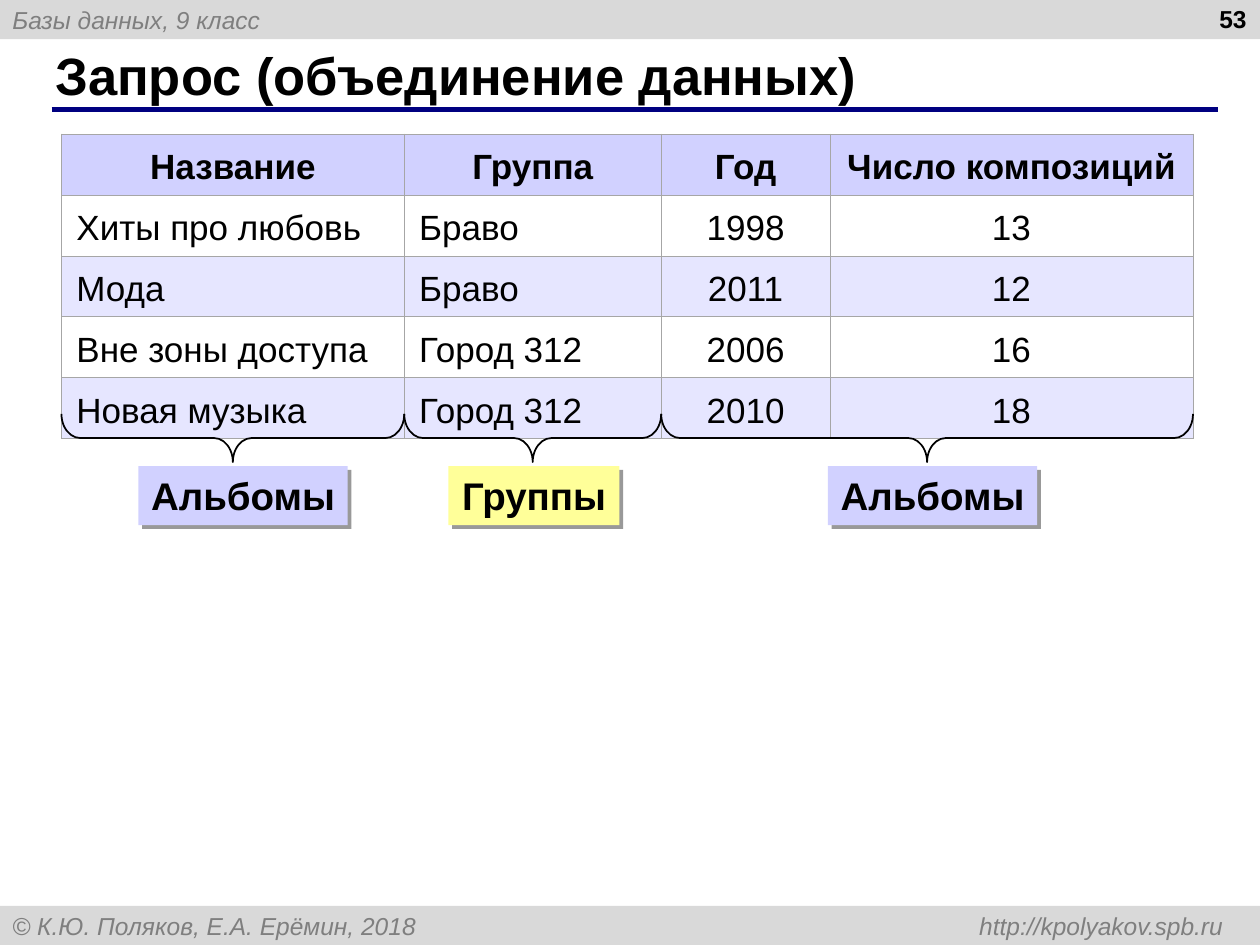
from lxml import etree
from pptx import Presentation
from pptx.dml.color import RGBColor
from pptx.enum.shapes import MSO_CONNECTOR, MSO_SHAPE
from pptx.enum.text import MSO_ANCHOR, MSO_AUTO_SIZE, PP_ALIGN
from pptx.oxml import parse_xml
from pptx.oxml.ns import nsdecls, qn
from pptx.util import Cm, Pt

BLACK = RGBColor(0x00, 0x00, 0x00)
WHITE = RGBColor(0xFF, 0xFF, 0xFF)
GRAY = RGBColor(0x7F, 0x7F, 0x7F)
BAR = RGBColor(0xD9, 0xD9, 0xD9)
NAVY = RGBColor(0x00, 0x00, 0x80)
LILAC = RGBColor(0xD1, 0xD1, 0xFF)
PALE_LILAC = RGBColor(0xE6, 0xE6, 0xFF)
YELLOW = RGBColor(0xFF, 0xFF, 0x99)


def write(frame, text, size, color=BLACK, bold=False, italic=False,
          align=PP_ALIGN.LEFT):
    paragraph = frame.paragraphs[0]
    paragraph.text = text
    paragraph.alignment = align
    font = paragraph.font
    font.name, font.size, font.bold, font.italic = "Arial", Pt(size), bold, italic
    font.color.rgb = color
    return paragraph


def add_box(kind, left, top, width, height, fill):
    box = slide.shapes.add_shape(kind, Cm(left), Cm(top), Cm(width), Cm(height))
    box.shadow.inherit = False
    box.line.fill.background()
    box.fill.solid()
    box.fill.fore_color.rgb = fill
    return box


prs = Presentation()
prs.slide_width, prs.slide_height = Cm(25.4), Cm(19.05)
slide = prs.slides.add_slide(prs.slide_layouts[5])

# Header and footer bars
course = "Базы данных, 9 класс"
credits = "© К.Ю. Поляков, Е.А. Ерёмин, 2018 \thttp://kpolyakov.spb.ru"
for top, text in ((0, course), (18.26, credits)):
    bar = add_box(MSO_SHAPE.RECTANGLE, 0, top, 25.4, 0.79, BAR)
    bar.text_frame.vertical_anchor = MSO_ANCHOR.MIDDLE
    if "\t" in text:
        p_pr = bar.text_frame.paragraphs[0]._p.get_or_add_pPr()
        tabs = etree.SubElement(p_pr, qn("a:tabLst"))
        etree.SubElement(tabs, qn("a:tab"), pos=str(Cm(24.41)), algn="r")
    write(bar.text_frame, text, 14, GRAY, italic=True)

# Title with its rule
title = slide.shapes.title
title.left, title.top, title.width, title.height = Cm(0.86), Cm(0.84), Cm(23.27), Cm(1.32)
title.text_frame.auto_size = MSO_AUTO_SIZE.NONE
title.text_frame.vertical_anchor = MSO_ANCHOR.MIDDLE
write(title.text_frame, "Запрос (объединение данных)", 30, bold=True)

rule = slide.shapes.add_connector(MSO_CONNECTOR.STRAIGHT, Cm(1.04), Cm(2.21), Cm(24.56), Cm(2.21))
rule.line.color.rgb = NAVY
rule.line.width = Pt(3)
etree.SubElement(rule._element.spPr, qn("a:effectLst"))

# Page number
page = slide.shapes.add_textbox(Cm(19.46), Cm(-0.05), Cm(5.92), Cm(1.32))
page.text_frame.word_wrap = True
write(page.text_frame, "53", 14, bold=True, align=PP_ALIGN.RIGHT)

# Query result table
albums = [
    ("Название", "Группа", "Год", "Число композиций"),
    ("Хиты про любовь", "Браво", "1998", "13"),
    ("Мода", "Браво", "2011", "12"),
    ("Вне зоны доступа", "Город 312", "2006", "16"),
    ("Новая музыка", "Город 312", "2010", "18"),
]
table_left = 1.24
col_widths = [6.91, 5.18, 3.4, 7.32]
row_height = 1.11
table = slide.shapes.add_table(
    len(albums), len(col_widths), Cm(table_left), Cm(2.7),
    Cm(sum(col_widths)), Cm(row_height * len(albums))).table
for column, width in zip(table.columns, col_widths):
    column.width = Cm(width)
for r, album in enumerate(albums):
    for c, value in enumerate(album):
        cell = table.cell(r, c)
        cell.vertical_anchor = MSO_ANCHOR.MIDDLE
        cell.margin_left = cell.margin_right = Cm(0.3)
        centered = r == 0 or c >= 2
        paragraph = write(cell.text_frame, value, 20, bold=r == 0,
                          align=PP_ALIGN.CENTER if centered else PP_ALIGN.LEFT)
        paragraph.line_spacing = 1.15
        # Borders go before the fill in the cell properties
        for side in ("lnL", "lnR", "lnT", "lnB"):
            cell._tc.get_or_add_tcPr().append(parse_xml(
                f'<a:{side} {nsdecls("a")} w="{Pt(0.45)}"><a:solidFill>'
                f'<a:srgbClr val="A6A6A6"/></a:solidFill></a:{side}>'))
        cell.fill.solid()
        cell.fill.fore_color.rgb = LILAC if r == 0 else (WHITE if r % 2 else PALE_LILAC)

# Braces under the columns and the source table of each group
brace_middle, brace_depth = 8.83, 0.97
sources = [
    # first column, end column, name, label left, label width, fill
    (0, 1, "Альбомы", 2.79, 4.22, LILAC),
    (1, 2, "Группы", 9.04, 3.45, YELLOW),
    (2, 4, "Альбомы", 16.69, 4.22, LILAC),
]
for first, end, name, left, width, fill in sources:
    span = sum(col_widths[first:end])
    center = table_left + sum(col_widths[:first]) + span / 2
    brace = slide.shapes.add_shape(
        MSO_SHAPE.LEFT_BRACE, Cm(center - brace_depth / 2),
        Cm(brace_middle - span / 2), Cm(brace_depth), Cm(span))
    brace.rotation = 270
    brace.adjustments[0] = 0.39
    brace.shadow.inherit = False
    brace.fill.background()
    brace.line.color.rgb = BLACK
    brace.line.width = Pt(1)

    label = add_box(MSO_SHAPE.RECTANGLE, left, 9.4, width, 1.19, fill)
    label.text_frame.word_wrap = False
    label.text_frame.vertical_anchor = MSO_ANCHOR.TOP
    write(label.text_frame, name, 22, bold=True, align=PP_ALIGN.CENTER)
    label._element.spPr.find(qn("a:effectLst")).append(parse_xml(
        f'<a:outerShdw {nsdecls("a")} blurRad="0" dist="{Pt(3)}" dir="2700000" '
        'algn="tl" rotWithShape="0"><a:srgbClr val="000000">'
        '<a:alpha val="40000"/></a:srgbClr></a:outerShdw>'))

prs.save("out.pptx")
